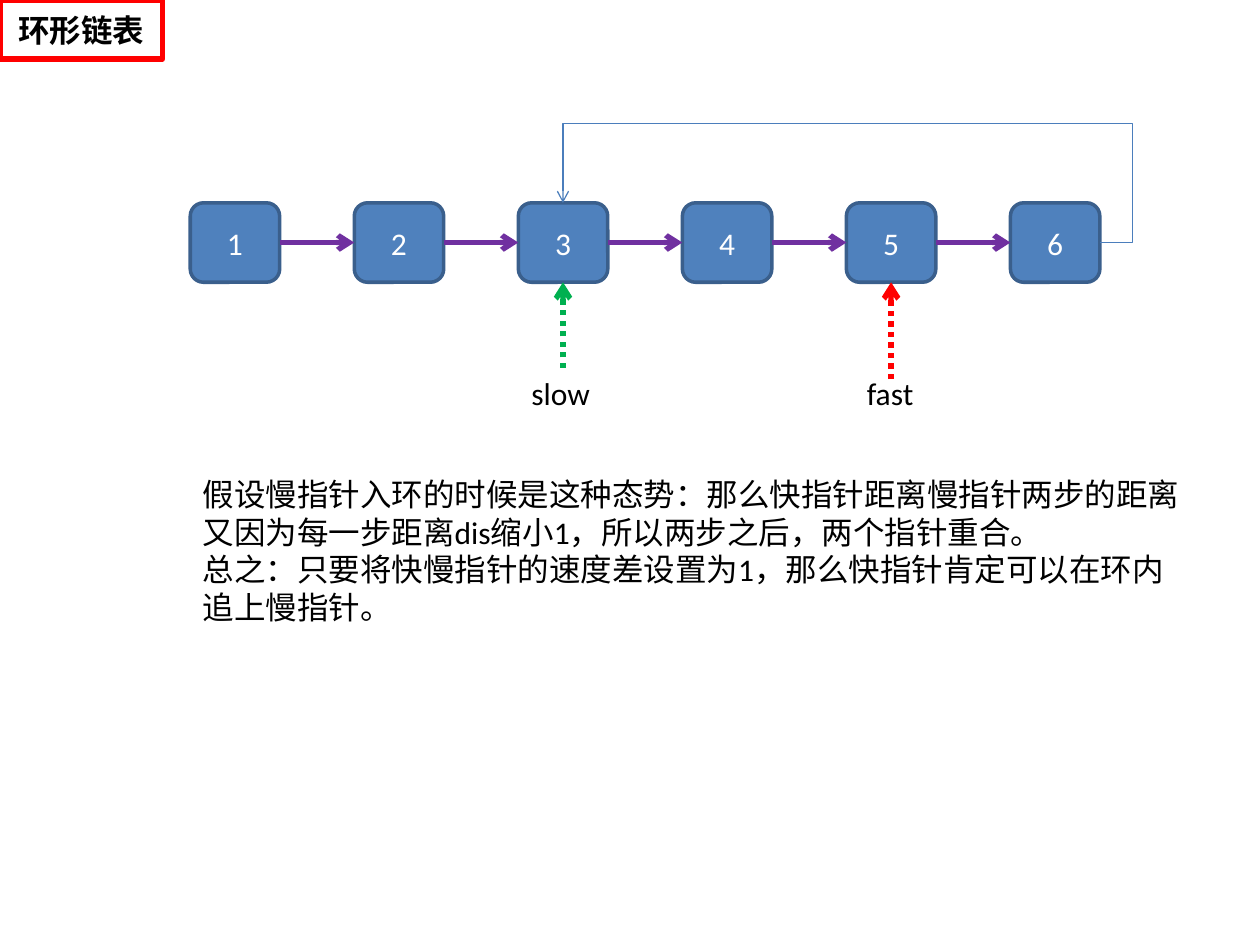
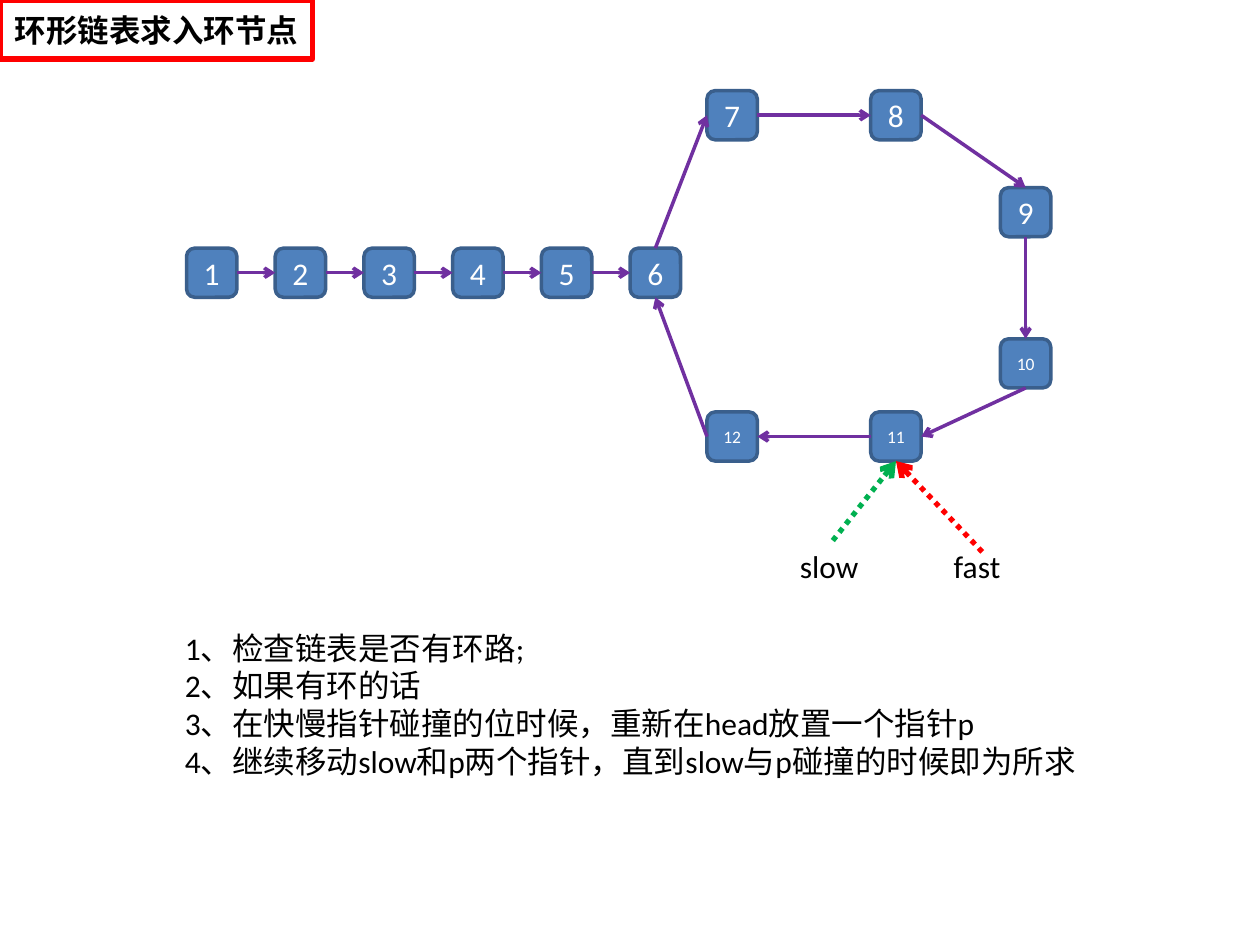
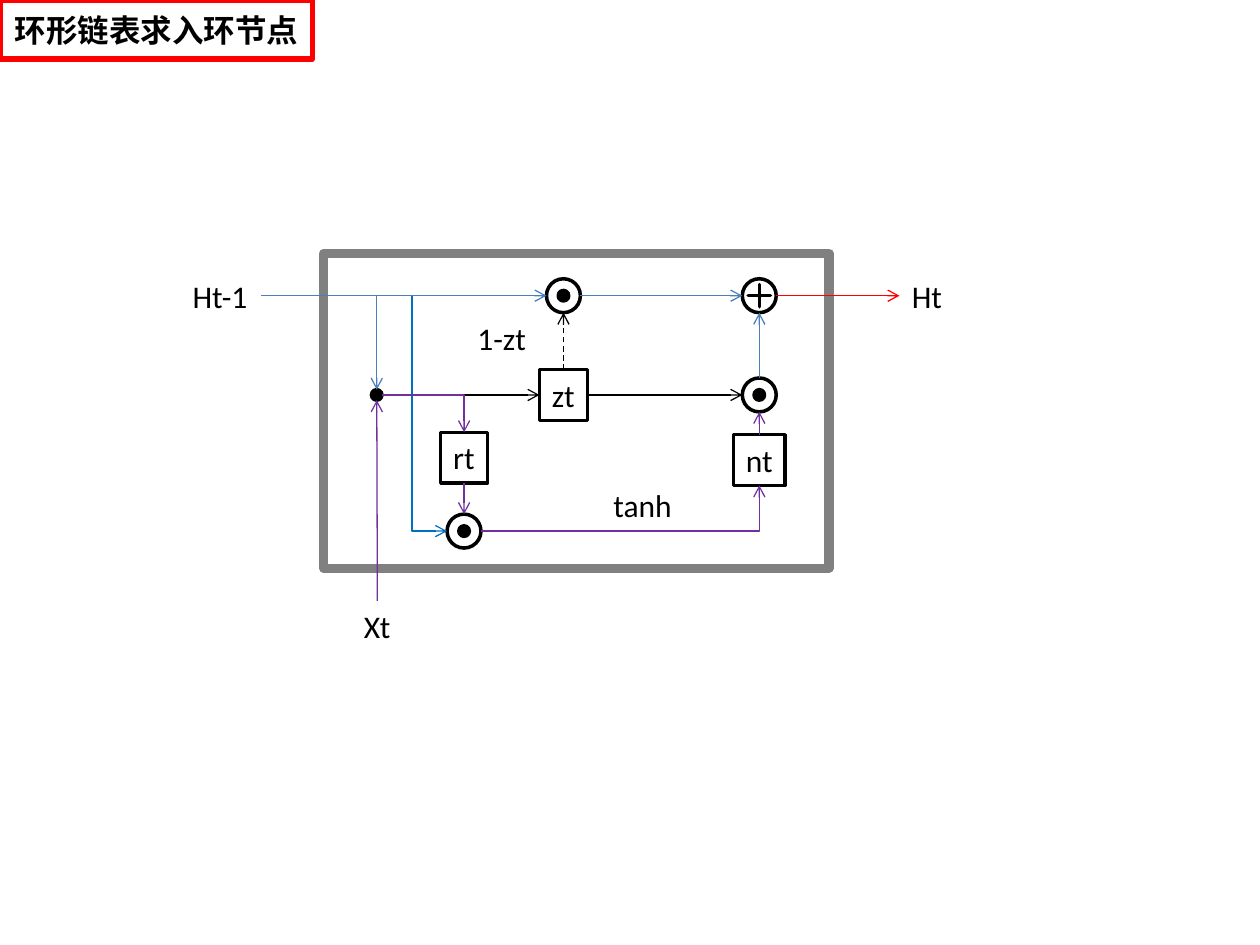
"""Builds three slides on linked lists with a cycle and a gated recurrent cell."""
import collections
import dataclasses

import lxml.etree
import pptx
import pptx.dml.color
import pptx.enum.shapes
import pptx.enum.text
import pptx.oxml.ns
import pptx.util

Pt = pptx.util.Pt
qn = pptx.oxml.ns.qn
Kind = pptx.enum.shapes.MSO_SHAPE
Dash = pptx.enum.dml.MSO_LINE
Align = pptx.enum.text.PP_ALIGN
Port = collections.namedtuple("Port", "shape side")
TOP, LEFT, BOTTOM, RIGHT = range(4)


@dataclasses.dataclass(frozen=True)
class Theme:
    """Colours, font, type sizes and line widths."""
    font: str = "Calibri"
    body: float = 18
    small: float = 10
    black: str = "000000"
    white: str = "FFFFFF"
    node: str = "4F81BD"
    node_edge: str = "3A5F8C"
    wire: str = "4B7EBC"
    bypass: str = "0070C0"
    purple: str = "7030A0"
    green: str = "00B050"
    red: str = "FF0000"
    grey: str = "808080"
    hairline: float = 0.75
    outline: float = 2
    heavy: float = 3
    frame: float = 5.25
    label_height: float = 29


THEME = Theme()


def rgb(code):
    """Return the colour for a hex code."""
    return pptx.dml.color.RGBColor.from_string(code)


def paint(shape, fill, edge, width):
    """Set the fill and the outline of a shape."""
    shape.fill.solid()
    shape.fill.fore_color.rgb = rgb(fill)
    shape.line.color.rgb = rgb(edge)
    shape.line.width = Pt(width)


def write(shape, lines, color=THEME.black, size=THEME.body, bold=False, align=Align.LEFT):
    """Write one paragraph for each line."""
    frame = shape.text_frame
    for index, line in enumerate(lines):
        para = frame.add_paragraph() if index else frame.paragraphs[0]
        para.text = line
        para.alignment = align
        para.font.name = THEME.font
        para.font.size = Pt(size)
        para.font.bold = bold
        para.font.color.rgb = rgb(color)


def add_shape(page, kind, box, fill, edge, width):
    """Add a painted preset shape without a shadow."""
    shape = page.shapes.add_shape(kind, *map(Pt, box))
    shape.shadow.inherit = False
    paint(shape, fill, edge, width)
    return shape


def add_text(page, box, lines, wrap=False):
    """Add a text box that grows with its text."""
    label = page.shapes.add_textbox(*map(Pt, box))
    label.text_frame.word_wrap = wrap
    label.text_frame.auto_size = pptx.enum.text.MSO_AUTO_SIZE.SHAPE_TO_FIT_TEXT
    write(label, lines)
    return label


def locate(end):
    """Return the position of a port, or of a plain point in points."""
    if not isinstance(end, Port):
        return tuple(map(Pt, end))
    shape, side = end
    across, down = {TOP: (1, 0), LEFT: (0, 1), BOTTOM: (1, 2), RIGHT: (2, 1)}[side]
    return shape.left + shape.width * across // 2, shape.top + shape.height * down // 2


def attach(connector, end, join, tag):
    """Join a connector end to a port; ovals have twice as many sites."""
    if isinstance(end, Port):
        join(end.shape, end.side)
        shape_type = end.shape.shape_type
        if shape_type == pptx.enum.shapes.MSO_SHAPE_TYPE.AUTO_SHAPE and end.shape.auto_shape_type == Kind.OVAL:
            next(connector.element.iter(qn(tag))).set("idx", str(2 * end.side))


def link(page, start, finish, color, width=THEME.hairline, dash=None, bend=None, adjust=(), arrow="tailEnd"):
    """Draw a straight or bent arrow between two ports or points."""
    types = pptx.enum.shapes.MSO_CONNECTOR
    connector = page.shapes.add_connector(
        types.ELBOW if bend else types.STRAIGHT, *locate(start), *locate(finish))
    attach(connector, start, connector.begin_connect, "a:stCxn")
    attach(connector, finish, connector.end_connect, "a:endCxn")
    connector.line.color.rgb = rgb(color)
    connector.line.width = Pt(width)
    if dash:
        connector.line.dash_style = dash
    properties = connector.element.spPr
    lxml.etree.SubElement(properties.find(qn("a:ln")), qn("a:" + arrow), type="arrow")
    lxml.etree.SubElement(properties, qn("a:effectLst"))
    if bend:
        geometry = properties.find(qn("a:prstGeom"))
        geometry.set("prst", bend)
        for number, value in enumerate(adjust, 1):
            lxml.etree.SubElement(geometry.find(qn("a:avLst")), qn("a:gd"),
                                  name=f"adj{number}", fmla=f"val {value}")
    return connector


def add_title(page, text, width):
    """Add the red framed title in the top left corner."""
    title = add_shape(page, Kind.RECTANGLE, (0, 0, width, 33.8), THEME.white, THEME.red, THEME.heavy)
    write(title, [text], bold=True, align=Align.CENTER)


def add_node(page, number, box):
    """Add one numbered list node."""
    node = add_shape(page, Kind.ROUNDED_RECTANGLE, box, THEME.node, THEME.node_edge, THEME.outline)
    size = THEME.body if number < 10 else THEME.small
    write(node, [str(number)], THEME.white, size, align=Align.CENTER)
    return node


def add_chain(page, box, step, arrow_width):
    """Add nodes 1 to 6 in a row; box is the first node."""
    left, top, width, height = box
    nodes = {number: add_node(page, number, (left + step * (number - 1), top, width, height))
             for number in range(1, 7)}
    for number in range(1, 6):
        link(page, Port(nodes[number], RIGHT), Port(nodes[number + 1], LEFT), THEME.purple, arrow_width)
    return nodes


def add_pointer(page, name, color, corner, width, tail, node):
    """Add a pointer label and its dotted arrow to the bottom of a node."""
    add_text(page, (*corner, width, THEME.label_height), [name], wrap=True)
    link(page, tail, Port(node, BOTTOM), color, THEME.heavy, Dash.ROUND_DOT)


def add_cycle_list(page, left, top):
    """Draw a row of nodes whose last one points back to node 3."""
    nodes = add_chain(page, (left, top, 51.1, 45.4), 93.74, THEME.heavy)
    link(page, Port(nodes[6], RIGHT), Port(nodes[3], TOP), THEME.wire,
         bend="bentConnector4", adjust=(-6100, 299800))
    for name, color, number, offset, width, drop in (
            ("slow", THEME.green, 3, 187.9, 51.8, 94.3), ("fast", THEME.red, 5, 379.5, 46.8, 100.8)):
        center = nodes[number].left.pt + nodes[number].width.pt / 2
        add_pointer(page, name, color, (left + offset, top + 94.3), width,
                    (center, top + drop), nodes[number])


def add_ring_list(page, left, top):
    """Draw a row of nodes that leads into a ring."""
    width, height = 28.8, 28.1
    nodes = add_chain(page, (left, top + 90, width, height), 50.7, THEME.outline)
    near, far, edge, floor = 297.4, 391, 465.1, 183.6
    places = [(near, 0), (far, 0), (edge, 55.4), (edge, 141.8), (far, floor), (near, floor)]
    for number, (x, y) in enumerate(places, 7):
        nodes[number] = add_node(page, number, (left + x, top + y, width, height))
    for start, leave, finish, enter in (
            (6, TOP, 7, LEFT), (7, RIGHT, 8, LEFT), (8, RIGHT, 9, TOP), (9, BOTTOM, 10, TOP),
            (10, BOTTOM, 11, RIGHT), (11, LEFT, 12, RIGHT), (12, LEFT, 6, BOTTOM)):
        link(page, Port(nodes[start], leave), Port(nodes[finish], enter), THEME.purple, THEME.outline)
    for name, color, offset, label_width, drop in (
            ("slow", THEME.green, 343.4, 51.8, 0), ("fast", THEME.red, 431.3, 46.8, 6.5)):
        corner = left + offset, top + 257.1
        tail = corner[0] + label_width / 2, corner[1] + drop
        add_pointer(page, name, color, corner, label_width, tail, nodes[11])


def add_disc(page, x, y, size, fill):
    """Add a black outlined disc around a centre."""
    return add_shape(page, Kind.OVAL, (x - size / 2, y - size / 2, size, size),
                     fill, THEME.black, THEME.outline)


def add_gate(page, x, y, plus=False):
    """Add a product gate, or a sum gate, around a centre."""
    gate = add_disc(page, x, y, 19.4, THEME.white)
    if plus:
        size = 17.3
        sign = add_shape(page, Kind.MATH_PLUS, (x - size / 2, y - size / 2, size, size),
                         THEME.black, THEME.black, THEME.outline)
        sign.adjustments[0] = 0
    else:
        add_disc(page, x, y, 6, THEME.black)
    return gate


def add_unit(page, name, x, top, width):
    """Add a framed unit centred on a column."""
    unit = add_text(page, (x - width / 2, top, width, THEME.label_height), [name])
    paint(unit, THEME.white, THEME.black, THEME.outline)
    return unit


def add_cell(page, left, top, width, height):
    """Draw a gated recurrent cell in the given frame."""
    add_shape(page, Kind.RECTANGLE, (left, top, width, height), THEME.white, THEME.grey, THEME.frame)
    entry, branch, reset, update, output = (left + x for x in (30.3, 50.4, 80.2, 137, 248.9))
    upper, middle, lower = (top + y for y in (24.2, 80.9, 158.7))
    labels = {name: add_text(page, (left + x, top + y, label_width, THEME.label_height), [name])
              for name, x, y, label_width in (
                  ("Xt", 15.9, 198.6, 29.5), ("Ht-1", -82, 9.7, 46.1), ("Ht", 329, 9.7, 31.7),
                  ("1-zt", 80.7, 33.8, 42.5), ("tanh", 158.5, 129.5, 47.5))}
    rt = add_unit(page, "rt", reset, top + 102.2, 26.8)
    zt = add_unit(page, "zt", update, middle - THEME.label_height / 2, 27.5)
    nt = add_unit(page, "nt", output, top + 103.6, 29.5)
    joint = add_disc(page, entry, middle, 6, THEME.black)
    keep, renew, recall = (add_gate(page, *spot) for spot in (
        (update, upper), (output, middle), (reset, lower)))
    total = add_gate(page, output, upper, plus=True)

    past = Port(labels["Ht-1"], RIGHT)
    for start, finish, color in (
            (past, Port(keep, LEFT), THEME.wire),
            (Port(keep, RIGHT), Port(total, LEFT), THEME.wire),
            (Port(renew, TOP), Port(total, BOTTOM), THEME.wire),
            (Port(total, RIGHT), Port(labels["Ht"], LEFT), THEME.red),
            (Port(joint, RIGHT), Port(zt, LEFT), THEME.black),
            (Port(zt, RIGHT), Port(renew, LEFT), THEME.black),
            (Port(labels["Xt"], TOP), Port(joint, BOTTOM), THEME.purple),
            (Port(rt, BOTTOM), Port(recall, TOP), THEME.purple),
            (Port(nt, TOP), Port(renew, BOTTOM), THEME.purple),
            ((entry, upper), Port(joint, TOP), THEME.wire)):
        link(page, start, finish, color)
    link(page, Port(zt, TOP), Port(keep, BOTTOM), THEME.black, dash=Dash.DASH)
    corner = "bentConnector2"
    link(page, Port(recall, LEFT), (branch, upper), THEME.bypass, bend=corner, arrow="headEnd")
    link(page, Port(recall, RIGHT), Port(nt, BOTTOM), THEME.purple, bend=corner)
    link(page, Port(joint, RIGHT), Port(rt, TOP), THEME.purple, bend=corner)


def main():
    """Build and save the deck."""
    deck = pptx.Presentation()
    deck.slide_width, deck.slide_height = Pt(720), Pt(540)
    cycle, ring, cell = (deck.slides.add_slide(deck.slide_layouts[6]) for _ in range(3))

    add_title(cycle, "环形链表", 92.9)
    add_cycle_list(cycle, 108.7, 115.9)
    add_text(cycle, (108.7, 267.8, 572.4, 94.5), [
        "假设慢指针入环的时候是这种态势：那么快指针距离慢指针两步的距离",
        "又因为每一步距离dis缩小1，所以两步之后，两个指针重合。",
        "总之：只要将快慢指针的速度差设置为1，那么快指针肯定可以在环内",
        "追上慢指针。"])

    add_title(ring, "环形链表求入环节点", 178.6)
    add_ring_list(ring, 106.6, 51.8)
    add_text(ring, (98.6, 355.7, 523.4, 94.5), [
        "1、检查链表是否有环路;",
        "2、如果有环的话",
        "3、在快慢指针碰撞的位时候，重新在head放置一个指针p",
        "4、继续移动slow和p两个指针，直到slow与p碰撞的时候即为所求"], wrap=True)

    add_title(cell, "环形链表求入环节点", 178.6)
    add_cell(cell, 185, 144.8, 288.7, 180)
    deck.save("out.pptx")


if __name__ == "__main__":
    main()
